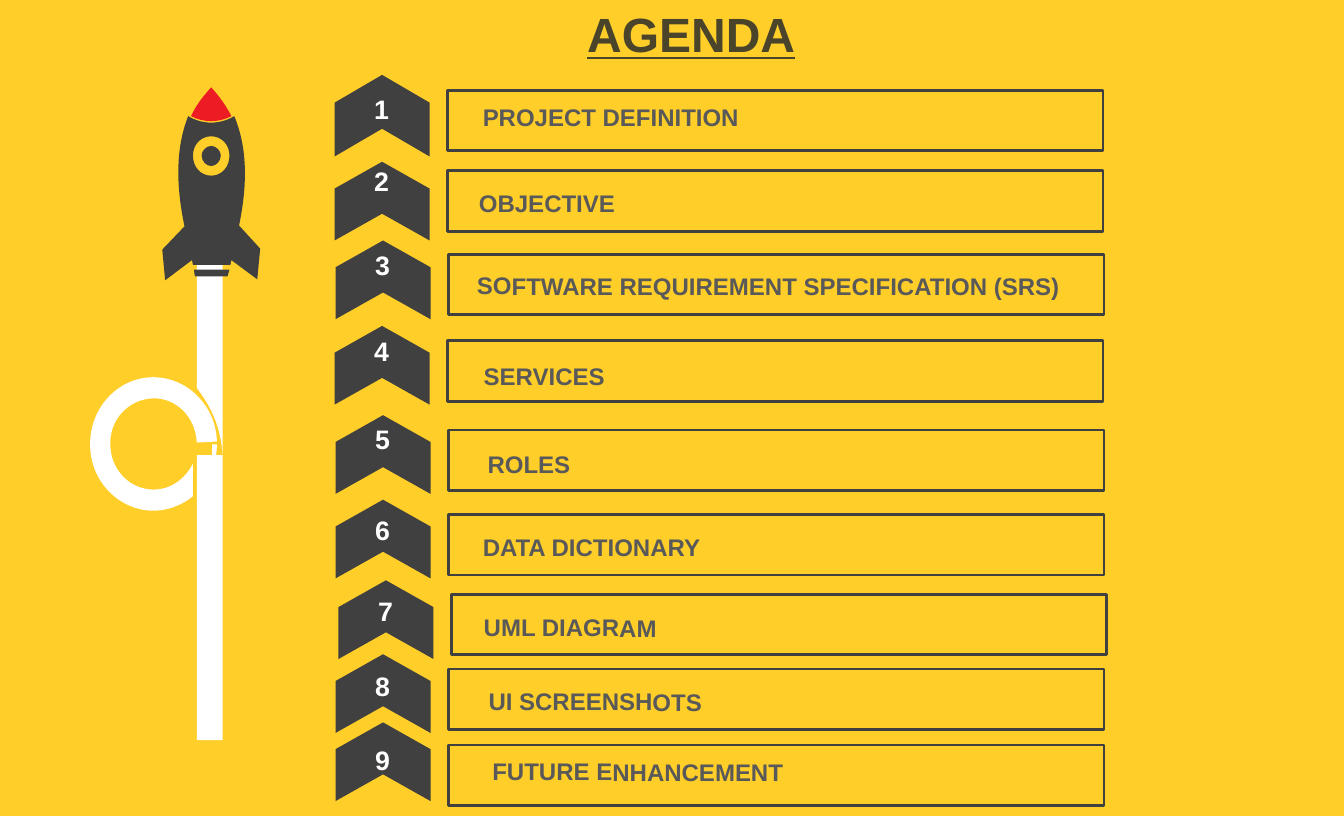
from pptx import Presentation
from pptx.dml.color import RGBColor
from pptx.enum.shapes import MSO_SHAPE
from pptx.enum.text import MSO_ANCHOR, MSO_AUTO_SIZE, PP_ALIGN
from pptx.oxml.ns import qn
from pptx.util import Inches, Pt

YELLOW = RGBColor(0xFF, 0xCE, 0x29)
WHITE = RGBColor(0xFF, 0xFF, 0xFF)
RED = RGBColor(0xED, 0x1C, 0x24)
CHARCOAL = RGBColor(0x40, 0x40, 0x40)
GRAY = RGBColor(0x59, 0x59, 0x59)
OLIVE = RGBColor(0x4A, 0x45, 0x2A)

RECTANGLE = MSO_SHAPE.RECTANGLE
CHEVRON = MSO_SHAPE.CHEVRON
LABEL_SHAPE = MSO_SHAPE.ROUND_2_SAME_RECTANGLE
TOP, BOTTOM = MSO_ANCHOR.TOP, MSO_ANCHOR.BOTTOM
LEFT, CENTER = PP_ALIGN.LEFT, PP_ALIGN.CENTER
FIT_SHAPE = MSO_AUTO_SIZE.SHAPE_TO_FIT_TEXT

FONT = "Arial"

AGENDA = [
    ("PROJECT DEFINITION", 4.66, 0.94, 0.71, 0.92, 4.91, 1.00),
    ("OBJECTIVE", 4.66, 1.78, 1.60, 1.67, 4.87, 1.90),
    ("SOFTWARE REQUIREMENT SPECIFICATION (SRS)", 4.67, 2.65, 2.42, 2.54, 4.85, 2.76),
    ("SERVICES", 4.66, 3.55, 3.31, 3.44, 4.92, 3.70),
    ("ROLES", 4.67, 4.48, 4.24, 4.36, 4.96, 4.62),
    ("DATA DICTIONARY", 4.67, 5.36, 5.12, 5.30, 4.91, 5.48),
    ("UML DIAGRAM", 4.70, 6.19, 5.96, 6.15, 4.92, 6.32),
    ("UI SCREENSHOTS", 4.67, 6.97, 6.73, 6.93, 4.97, 7.09),
    ("FUTURE ENHANCEMENT", 4.67, 7.76, 7.44, 7.70, 5.01, 7.82),
]

SMOKE_LOOP = [
    [(1.31, 3.73), (1.36, 3.73), (1.36, 3.82, 1.34, 3.91, 1.31, 3.98)],
    [(0.68, 3.03), (1.04, 3.02, 1.35, 3.32, 1.36, 3.7), (1.15, 3.71),
     (1.14, 3.45, 0.94, 3.24, 0.69, 3.25), (0.44, 3.26, 0.24, 3.47, 0.25, 3.73),
     (0.25, 3.99, 0.45, 4.2, 0.7, 4.2), (0.88, 4.2, 1.03, 4.09, 1.11, 3.93),
     (1.11, 4.27), (1, 4.36, 0.85, 4.42, 0.7, 4.42),
     (0.34, 4.42, 0.04, 4.11, 0.04, 3.74), (0.03, 3.36, 0.32, 3.04, 0.68, 3.03)],
]
SMOKE_TOP = [
    [(1.15, 1.83), (1.42, 1.83), (1.42, 2.5, 1.42, 3.18, 1.42, 3.85),
     (1.4, 3.54, 1.3, 3.34, 1.15, 3.14), (1.15, 1.83)],
]
ROCKET = [
    [(1.12, 1.91), (1.49, 1.91), (1.48, 1.93, 1.48, 1.96, 1.47, 1.98), (1.13, 1.98)],
    [(1.3, 0.62), (1.35, 0.62, 1.4, 0.67, 1.4, 0.72), (1.4, 0.78, 1.35, 0.83, 1.3, 0.83),
     (1.25, 0.83, 1.2, 0.78, 1.2, 0.72), (1.2, 0.67, 1.25, 0.62, 1.3, 0.62)],
    [(1.3, 0.52), (1.19, 0.52, 1.11, 0.61, 1.11, 0.72), (1.11, 0.84, 1.19, 0.93, 1.3, 0.93),
     (1.41, 0.93, 1.49, 0.84, 1.49, 0.72), (1.49, 0.61, 1.41, 0.52, 1.3, 0.52)],
    [(1.06, 0.31), (1.21, 0.4, 1.39, 0.4, 1.54, 0.31),
     (1.7, 0.69, 1.66, 1.11, 1.59, 1.45), (1.81, 1.69), (1.78, 2.01), (1.51, 1.81),
     (1.5, 1.86), (1.11, 1.86), (1.11, 1.84, 1.1, 1.83, 1.1, 1.81), (0.82, 2.02),
     (0.79, 1.7), (1.02, 1.46), (1.02, 1.47), (1.02, 1.45),
     (0.95, 1.11, 0.91, 0.69, 1.06, 0.31)],
]
NOSE = [
    [(1.3, 0.01), (1.39, 0.11, 1.46, 0.21, 1.51, 0.31),
     (1.38, 0.38, 1.22, 0.38, 1.09, 0.31), (1.14, 0.2, 1.21, 0.11, 1.3, 0.01)],
]


def style_shape(shape, fill=None, line=None):
    """Set the fill and outline of a shape and remove its shadow."""
    shape.shadow.inherit = False
    if fill is None:
        shape.fill.background()
    else:
        shape.fill.solid()
        shape.fill.fore_color.rgb = fill
    if line is None:
        shape.line.fill.background()
    else:
        shape.line.color.rgb = line
        shape.line.width = Pt(2)


def add_block(page, kind, left, top, width, height, fill=None, line=None, rotation=0):
    """Add a styled preset shape."""
    shape = page.shapes.add_shape(kind, left, top, width, height)
    style_shape(shape, fill, line)
    shape.rotation = rotation
    return shape


def bend_segments(shape, segments):
    """Merge the three line steps of each six-number segment into a cubic curve."""
    steps = iter(list(shape._element.iter(qn("a:lnTo"))))
    for segment in segments:
        step = next(steps)
        if len(segment) == 6:
            step.tag = qn("a:cubicBezTo")
            for extra in (next(steps), next(steps)):
                step.append(extra[0])
                extra.getparent().remove(extra)


def add_outline(page, contours, left, top, fill):
    """Add one freeform of straight and curved contours, offset to left and top."""
    builder = None
    for contour in contours:
        points = [(left + Inches(segment[index]), top + Inches(segment[index + 1]))
                  for segment in contour for index in range(0, len(segment), 2)]
        if builder is None:
            builder = page.shapes.build_freeform(*points[0])
        else:
            builder.move_to(*points[0])
        builder.add_line_segments(points[1:], close=True)
    shape = builder.convert_to_shape()
    bend_segments(shape, [segment for contour in contours for segment in contour[1:]])
    style_shape(shape, fill)


def write_text(box, text, size, color, align=LEFT, anchor=TOP, underline=None, fit=None):
    """Write one bold formatted line into a shape."""
    frame = box.text_frame
    frame.word_wrap = True
    frame.vertical_anchor = anchor
    frame.margin_left = frame.margin_right = Inches(0.1)
    frame.margin_top = frame.margin_bottom = Inches(0.05)
    if fit is not None:
        frame.auto_size = fit
    para = frame.paragraphs[0]
    para.alignment = align
    span = para.add_run()
    span.text = text
    span.font.name = FONT
    span.font.size = Pt(size)
    span.font.bold = True
    span.font.underline = underline
    span.font.color.rgb = color


def place_title(page, left, top, width, height):
    """Move and format the title placeholder."""
    title = page.shapes.title
    title.left, title.top, title.width, title.height = left, top, width, height
    write_text(title, "AGENDA", 36, OLIVE, align=CENTER, anchor=BOTTOM, underline=True)


def draw_rocket(page, left, top):
    """Draw the rocket and its looping trail from the given corner."""
    add_outline(page, SMOKE_LOOP, left, top, WHITE)
    add_outline(page, SMOKE_TOP, left, top, WHITE)
    add_outline(page, ROCKET, left, top, CHARCOAL)
    add_block(page, RECTANGLE, left + Inches(1.15), top + Inches(3.84),
              Inches(0.27), Inches(2.97), fill=WHITE)
    add_outline(page, NOSE, left, top, RED)


def draw_agenda_row(page, number, text, left, top, chevron_top, number_top, label_left, label_top):
    """Draw one agenda bar with its label and numbered chevron."""
    first = number == 1
    add_block(page, RECTANGLE, left, top, Inches(6.83), Inches(0.63), line=CHARCOAL)
    label = add_block(page, LABEL_SHAPE, label_left, label_top,
                      Inches(6.65 if number == 3 else 6.28), Inches(0.42),
                      rotation=0 if first else 0.13)
    write_text(label, text, 18, GRAY, anchor=BOTTOM if first else TOP, fit=FIT_SHAPE)
    depth = Inches(0.85 if first else 0.82)
    chevron = add_block(page, CHEVRON, left - Inches(0.68) - depth // 2, chevron_top,
                        depth, Inches(0.99), fill=CHARCOAL, rotation=270)
    chevron.adjustments[0] = 0.34
    badge = page.shapes.add_textbox(left - Inches(1.03), number_top, Inches(0.69), Inches(0.43))
    write_text(badge, str(number), 20, WHITE, align=CENTER, fit=FIT_SHAPE)


def main():
    """Build the agenda slide and save it."""
    deck = Presentation()
    deck.slide_width, deck.slide_height = Inches(14), Inches(8.5)
    page = deck.slides.add_slide(deck.slide_layouts[5])
    page.background.fill.solid()
    page.background.fill.fore_color.rgb = YELLOW
    place_title(page, Inches(0.73), Inches(-0.18), Inches(12.94), Inches(0.88))
    draw_rocket(page, Inches(0.9), Inches(0.9))
    for number, (text, *lengths) in enumerate(AGENDA, start=1):
        draw_agenda_row(page, number, text, *map(Inches, lengths))
    deck.save("out.pptx")


if __name__ == "__main__":
    main()
